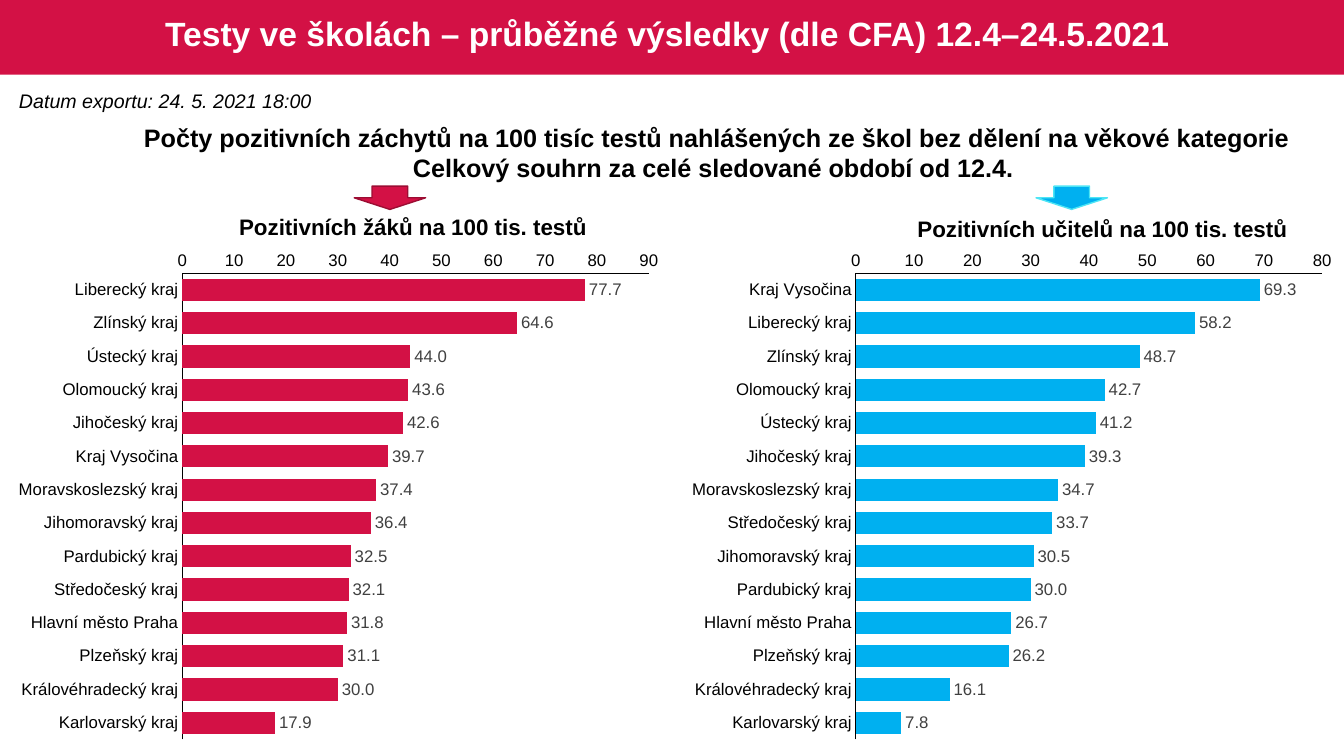
from lxml.etree import SubElement
from pptx import Presentation
from pptx.chart.data import CategoryChartData as ChartData
from pptx.dml.color import RGBColor
from pptx.enum.chart import XL_CHART_TYPE as Kind, XL_LABEL_POSITION as Spot
from pptx.enum.chart import XL_TICK_MARK as Tick
from pptx.enum.shapes import MSO_SHAPE as Shape
from pptx.enum.text import MSO_ANCHOR as Anchor, MSO_AUTO_SIZE as Fit, PP_ALIGN as Align
from pptx.oxml.ns import qn
from pptx.util import Inches, Pt

COLS, ROWS = 96, 54
HUES = {"red": "D31145", "wine": "9C0D33", "blue": "00B0F0", "aqua": "4DE5F5",
        "black": "000000", "grey": "404040", "white": "FFFFFF"}
# Inner plot area as shares of the chart frame
PLOT = {"x": 0.26, "y": 0.06, "w": 0.7, "h": 0.92}

PUPILS = {"Liberecký kraj": 77.7, "Zlínský kraj": 64.6, "Ústecký kraj": 44.0,
          "Olomoucký kraj": 43.6, "Jihočeský kraj": 42.6, "Kraj Vysočina": 39.7,
          "Moravskoslezský kraj": 37.4, "Jihomoravský kraj": 36.4,
          "Pardubický kraj": 32.5, "Středočeský kraj": 32.1,
          "Hlavní město Praha": 31.8, "Plzeňský kraj": 31.1,
          "Královéhradecký kraj": 30.0, "Karlovarský kraj": 17.9}
STAFF = {"Kraj Vysočina": 69.3, "Liberecký kraj": 58.2, "Zlínský kraj": 48.7,
         "Olomoucký kraj": 42.7, "Ústecký kraj": 41.2, "Jihočeský kraj": 39.3,
         "Moravskoslezský kraj": 34.7, "Středočeský kraj": 33.7,
         "Jihomoravský kraj": 30.5, "Pardubický kraj": 30.0,
         "Hlavní město Praha": 26.7, "Plzeňský kraj": 26.2,
         "Královéhradecký kraj": 16.1, "Karlovarský kraj": 7.8}


def hue(name):
    return RGBColor.from_string(HUES[name])


class Page:
    face = "Arial"

    def __init__(self, deck):
        self.slide = deck.slides.add_slide(deck.slide_layouts[5])
        self.shapes = self.slide.shapes
        self.cell = deck.slide_width / COLS, deck.slide_height / ROWS

    def place(self, *box):
        """Turn left, top, width, height in grid cells into lengths."""
        return [round(n * self.cell[i % 2]) for i, n in enumerate(box)]

    def style(self, font, size, color="black", bold=False, italic=False):
        font.name, font.size = self.face, Pt(size)
        font.bold, font.italic = bold, italic
        font.color.rgb = hue(color)

    def fill_in(self, frame, lines, align, *look, **more):
        """Put one paragraph per line into the text frame."""
        for i, line in enumerate(lines):
            para = frame.add_paragraph() if i else frame.paragraphs[0]
            para.alignment = align
            run = para.add_run()
            run.text = line
            self.style(run.font, *look, **more)

    def title(self, text, box):
        head = self.shapes.title
        head.left, head.top, head.width, head.height = self.place(*box)
        frame = head.text_frame
        frame.auto_size, frame.vertical_anchor = Fit.NONE, Anchor.MIDDLE
        self.fill_in(frame, [text], Align.CENTER, 24, "white", bold=True)
        frame.paragraphs[0].line_spacing = 0.9

    def text(self, lines, box, size, align=Align.CENTER, **more):
        frame = self.shapes.add_textbox(*self.place(*box)).text_frame
        frame.word_wrap, frame.auto_size = False, Fit.SHAPE_TO_FIT_TEXT
        self.fill_in(frame, lines, align, size, **more)

    def shape(self, kind, box, fill, edge=None):
        item = self.shapes.add_shape(kind, *self.place(*box))
        item.shadow.inherit = False
        item.fill.solid()
        item.fill.fore_color.rgb = hue(fill)
        if edge:
            item.line.color.rgb, item.line.width = hue(edge), Pt(1)
        else:
            item.line.fill.background()
        return item

    def band(self, box, fill):
        """Draw a bar behind everything else."""
        item = self.shape(Shape.RECTANGLE, box, fill)
        self.shapes._spTree.insert(2, item._element)

    def axis(self, axis):
        axis.has_major_gridlines = False
        axis.major_tick_mark = axis.minor_tick_mark = Tick.NONE
        axis.format.line.color.rgb = hue("black")
        axis.format.line.width = Pt(0.75)
        self.style(axis.tick_labels.font, 12)

    def bars(self, rates, box, fill, top):
        data = ChartData(number_format="General")
        data.categories = list(rates)
        data.add_series("Series 1", list(rates.values()))
        chart = self.shapes.add_chart(Kind.BAR_CLUSTERED, *self.place(*box), data).chart
        chart.has_legend = chart.has_title = False
        self.style(chart.font, 10)
        self.axis(chart.category_axis)
        chart.category_axis.reverse_order = True
        scale = chart.value_axis
        self.axis(scale)
        scale.minimum_scale, scale.maximum_scale, scale.major_unit = 0, top, 10
        plot = chart.plots[0]
        plot.gap_width, plot.vary_by_categories = 50, False
        row = plot.series[0]
        row.invert_if_negative = False
        row.format.fill.solid()
        row.format.fill.fore_color.rgb = hue(fill)
        plot.has_data_labels = True
        tags = plot.data_labels
        tags.show_value, tags.position = True, Spot.OUTSIDE_END
        tags.number_format, tags.number_format_is_linked = "#,##0.0", False
        self.style(tags.font, 12, "grey")
        self.fix(chart)

    def fix(self, chart):
        """Pin the inner plot area to the shares in PLOT."""
        area = chart._chartSpace.chart.plotArea
        for old in area.findall(qn("c:layout")):
            area.remove(old)
        outer = SubElement(area, qn("c:layout"))
        area.insert(0, outer)
        inner = SubElement(outer, qn("c:manualLayout"))
        marks = {"layoutTarget": "inner", "xMode": "edge", "yMode": "edge", **PLOT}
        for tag, val in marks.items():
            SubElement(inner, qn("c:" + tag)).set("val", str(val))


def main():
    deck = Presentation()
    deck.slide_width, deck.slide_height = Inches(13.33), Inches(7.5)
    page = Page(deck)
    page.band((0, 0, COLS, 5.33), "red")
    page.title("Testy ve školách – průběžné výsledky (dle CFA) 12.4–24.5.2021 ",
               (1.3, 0.3, 93.4, 4.5))
    page.text(["Datum exportu: 24. 5. 2021 18:00"], (0.65, 6, 22.5, 2.45), 14,
              Align.LEFT, italic=True)
    page.text(["Počty pozitivních záchytů na 100 tisíc testů nahlášených ze škol "
               "bez dělení na věkové kategorie",
               "Celkový souhrn za celé sledované období od 12.4. "],
              (9.2, 8.35, 84, 5.1), 18, bold=True)
    sides = [
        ("Pozitivních žáků na 100 tis. testů", (16.2, 14.9, 26.6, 2.66),
         PUPILS, "red", "wine", 90, 25.3),
        ("Pozitivních učitelů na 100 tis. testů", (64.65, 15, 28.2, 2.66),
         STAFF, "blue", "aqua", 80, 74),
    ]
    for i, (label, box, rates, fill, edge, top, left) in enumerate(sides):
        page.bars(rates, (0.65 + i * 48.1, 17.35, 47.6, 36.2), fill, top)
        page.text([label], box, 16, bold=True)
        page.shape(Shape.DOWN_ARROW, (left, 13.3, 5.1, 1.66), fill, edge)
    deck.save("out.pptx")


if __name__ == "__main__":
    main()
